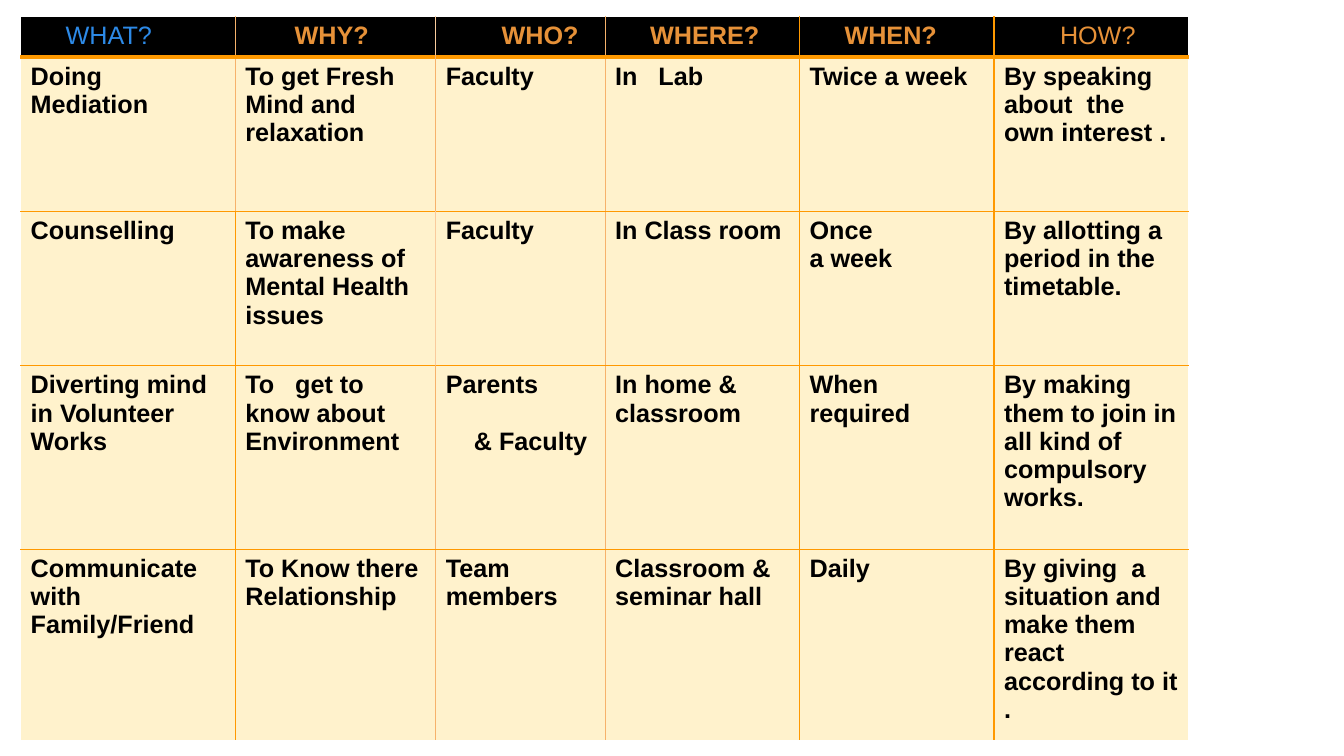
from lxml.etree import SubElement
from pptx import Presentation
from pptx.dml.color import RGBColor
from pptx.oxml.ns import qn
from pptx.util import Cm, Pt

COLORS = {
    "black": "000000", "white": "FFFFFF", "cream": "FFF2CC", "blue": "2D8AE7",
    "copper": "E69138", "orange": "FF9900", "amber": "F6B26B", "peach": "F9CB9C",
}
HEADERS = [
    ("WHAT?", "blue", False, 0.88), ("WHY?", "copper", True, 1.24),
    ("WHO?", "copper", True, 1.41), ("WHERE?", "copper", True, 0.88),
    ("WHEN?", "copper", True, 0.88), ("HOW?", "copper", False, 1.41),
]
ACTIVITIES = [
    ["Doing Mediation", "To get Fresh Mind and relaxation", "Faculty",
     "In   Lab", "Twice a week", "By speaking about  the own interest ."],
    ["Counselling", "To make awareness of Mental Health issues", "Faculty",
     "In Class room", "Once\na week", "By allotting a period in the timetable."],
    ["Diverting mind in Volunteer Works", "To   get to know about Environment",
     "Parents\n& Faculty", "In home & classroom", "When required",
     "By making them to join in all kind of compulsory works."],
    ["Communicate with Family/Friend", "To Know there Relationship", "Team members",
     "Classroom & seminar hall", "Daily",
     "By giving  a situation and make them  react according to it ."],
]
COL_WIDTHS = [5.41, 5.05, 4.27, 4.9, 4.9, 4.9]
ROW_HEIGHTS = [1.02, 3.89, 3.89, 4.62, 4.83]
ROW_LINES = [("white", 1), ("orange", 3)] + [("orange", 1)] * 3 + [("white", 1)]
FIRST_LINES = [("amber", "peach"), ("amber", "amber"), ("orange", "peach"),
               ("orange", "amber"), ("orange", "amber")]
COL_LINES = [["white", *pair, "amber", "orange", "orange", "white"] for pair in FIRST_LINES]


def write(cell, text, color="black", bold=True, indent=0):
    tf = cell.text_frame
    tf.text = text
    for p in tf.paragraphs:
        p._p.get_or_add_pPr().set("marL", str(Cm(indent)))
        for r in p.runs:
            r.font.name = "Arial"
            r.font.size = Pt(18)
            r.font.bold = bold
            r.font.color.rgb = RGBColor.from_string(COLORS[color])


def add_border(cell, side, color, width):
    ln = SubElement(cell._tc.get_or_add_tcPr(), qn(f"a:ln{side}"), w=str(Pt(width)))
    SubElement(SubElement(ln, qn("a:solidFill")), qn("a:srgbClr"), val=COLORS[color])


def style(cell, row, col):
    add_border(cell, "L", COL_LINES[row][col], 1)
    add_border(cell, "R", COL_LINES[row][col + 1], 1)
    add_border(cell, "T", *ROW_LINES[row])
    add_border(cell, "B", *ROW_LINES[row + 1])
    cell.fill.solid()
    cell.fill.fore_color.rgb = RGBColor.from_string(COLORS["cream" if row else "black"])


def main():
    prs = Presentation()
    prs.slide_width, prs.slide_height = Cm(33.87), Cm(19.05)
    s = prs.slides.add_slide(prs.slide_layouts[6])
    table = s.shapes.add_table(
        len(ROW_HEIGHTS), len(COL_WIDTHS), Cm(0.52), Cm(0.42),
        Cm(sum(COL_WIDTHS)), Cm(sum(ROW_HEIGHTS))).table
    table.horz_banding = False
    for column, width in zip(table.columns, COL_WIDTHS):
        column.width = Cm(width)
    for row, height in zip(table.rows, ROW_HEIGHTS):
        row.height = Cm(height)

    for col, (text, color, bold, indent) in enumerate(HEADERS):
        write(table.cell(0, col), text, color=color, bold=bold, indent=indent)
    for row, activity in enumerate(ACTIVITIES, 1):
        for col, text in enumerate(activity):
            write(table.cell(row, col), text)
    for row in range(len(ROW_HEIGHTS)):
        for col in range(len(COL_WIDTHS)):
            style(table.cell(row, col), row, col)

    faculty = table.cell(3, 2).text_frame.paragraphs[1]
    faculty.space_before = Pt(20)
    faculty._p.get_or_add_pPr().set("marL", str(Cm(0.71)))
    prs.save("out.pptx")


if __name__ == "__main__":
    main()
